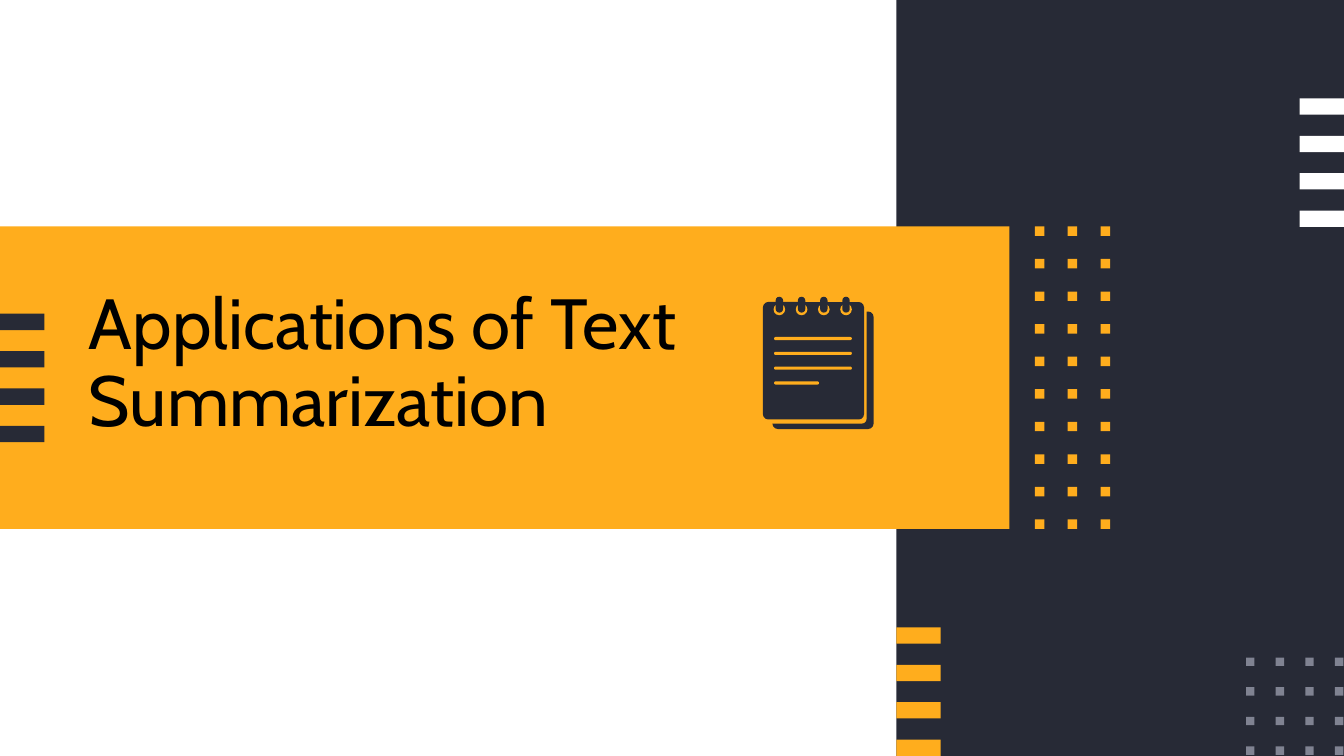
from pptx import Presentation
from pptx.dml.color import RGBColor
from pptx.enum import shapes, text
from pptx.util import Cm, Pt

NAVY = RGBColor(0x27, 0x2A, 0x36)
AMBER = RGBColor(0xFF, 0xAD, 0x1D)
GREY = RGBColor(0x80, 0x83, 0x92)
WHITE = RGBColor(0xFF, 0xFF, 0xFF)
BLACK = RGBColor(0, 0, 0)

W, H = 25.4, 14.29
TITLE = "Applications of Text Summarization"
TITLE_BOX = (1.68, 5.94, 15.27, 2.41)
PANEL = (16.94, 0, W - 16.94, H)
BAND = (0, 4.28, 19.08, 5.72)

# left, top, columns, rows, column pitch, row pitch, width, height, colour
GRIDS = [
    (23.55, 12.43, 4, 4, 0.56, 0.56, 0.16, 0.16, GREY),
    (19.56, 4.28, 3, 10, 0.62, 5.54 / 9, 0.18, 0.18, AMBER),
    (0, 5.93, 1, 4, 0, 2.12 / 3, 0.84, 0.31, NAVY),
    (24.56, 1.86, 1, 4, 0, 2.12 / 3, 0.84, 0.31, WHITE),
    (16.94, 11.86, 1, 4, 0, 2.12 / 3, 0.84, 0.31, AMBER),
]

PAGES = [
    (14.6, 5.89, 1.91, 2.22, NAVY),
    (14.42, 5.71, 1.96, 2.3, AMBER),
    (14.42, 5.71, 1.91, 2.22, NAVY),
]
PAGE_RADIUS = 0.1
NOTE_WIDTHS = [1.47, 1.47, 1.47, 0.85]
NOTE_LEFT, NOTE_TOP, NOTE_PITCH, NOTE_HEIGHT = 14.63, 6.37, 0.28, 0.06
RINGS, RING_PITCH = 4, 0.42


def add_block(s, x, y, w, h, colour, kind=shapes.MSO_SHAPE.RECTANGLE, radius=None):
    sp = s.shapes.add_shape(kind, Cm(x), Cm(y), Cm(w), Cm(h))
    sp.shadow.inherit = False
    sp.fill.solid()
    sp.fill.fore_color.rgb = colour
    sp.line.fill.background()
    if radius is not None:
        sp.adjustments[0] = radius / min(w, h)


def add_grid(s, x, y, cols, rows, dx, dy, w, h, colour):
    for row in range(rows):
        for col in range(cols):
            add_block(s, x + col * dx, y + row * dy, w, h, colour)


def add_notepad(s):
    rounded = shapes.MSO_SHAPE.ROUNDED_RECTANGLE
    for page in PAGES:
        add_block(s, *page, rounded, PAGE_RADIUS)
    for i, w in enumerate(NOTE_WIDTHS):
        add_block(s, NOTE_LEFT, NOTE_TOP + i * NOTE_PITCH, w, NOTE_HEIGHT,
                  AMBER, rounded, NOTE_HEIGHT / 2)
    for i in range(RINGS):
        dx = i * RING_PITCH
        add_block(s, 14.62 + dx, 5.74, 0.22, 0.22, AMBER, shapes.MSO_SHAPE.OVAL)
        add_block(s, 14.66 + dx, 5.61, 0.14, 0.3, NAVY, rounded, 0.07)


def add_title(s):
    sp = s.shapes.title
    sp.left, sp.top, sp.width, sp.height = map(Cm, TITLE_BOX)
    tf = sp.text_frame
    tf.text = TITLE
    tf.word_wrap = True
    tf.auto_size = text.MSO_AUTO_SIZE.NONE
    tf.vertical_anchor = text.MSO_ANCHOR.BOTTOM
    tf.margin_left = tf.margin_right = tf.margin_top = tf.margin_bottom = 0
    p = tf.paragraphs[0]
    p.alignment = text.PP_ALIGN.LEFT
    p.line_spacing = 0.9
    r = p.runs[0]
    r.font.name = "Cabin"
    r.font.size = Pt(38)
    r.font.color.rgb = BLACK


def main():
    prs = Presentation()
    prs.slide_width, prs.slide_height = Cm(W), Cm(H)
    s = prs.slides.add_slide(prs.slide_layouts[5])
    s.background.fill.solid()
    s.background.fill.fore_color.rgb = WHITE
    add_block(s, *PANEL, NAVY)
    add_block(s, *BAND, AMBER)
    for grid in GRIDS:
        add_grid(s, *grid)
    add_title(s)
    s.shapes._spTree.append(s.shapes.title._element)
    add_notepad(s)
    prs.save("out.pptx")


if __name__ == "__main__":
    main()
